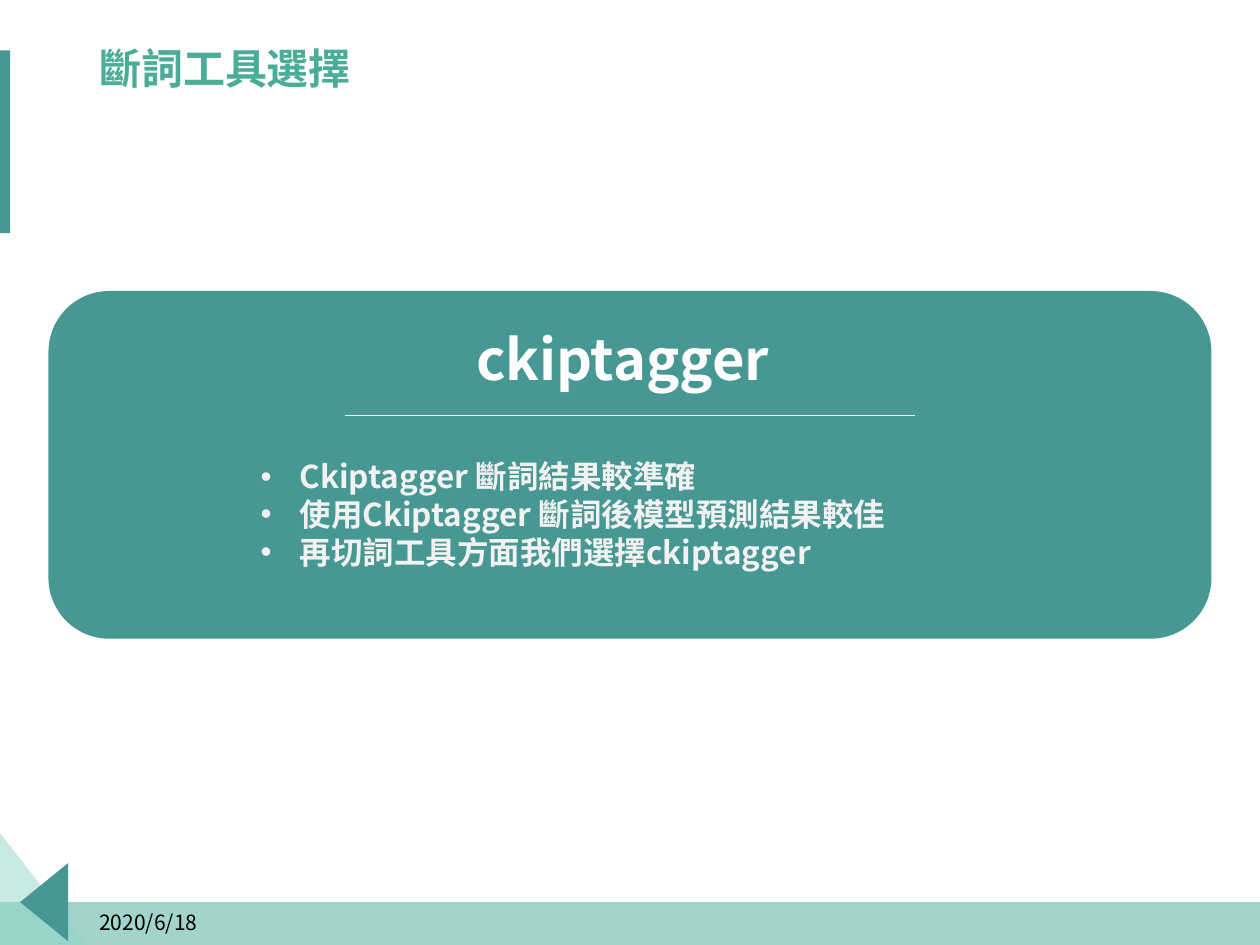
"""Builds the slide on the chosen word segmentation tool."""
from lxml import etree
from pptx import Presentation
from pptx.dml.color import RGBColor
from pptx.enum.shapes import MSO_CONNECTOR, MSO_SHAPE
from pptx.enum.text import MSO_ANCHOR, MSO_AUTO_SIZE, PP_ALIGN
from pptx.oxml.ns import qn
from pptx.util import Inches, Pt

TEAL = RGBColor(0x47, 0x97, 0x93)
GREEN = RGBColor(0x4A, 0xAC, 0x99)
MINT = RGBColor(0x92, 0xD4, 0xCB)
WHITE = RGBColor(0xFF, 0xFF, 0xFF)
PALE = RGBColor(0xF2, 0xF2, 0xF2)
BLACK = RGBColor(0, 0, 0)
RECT, ROUNDED = MSO_SHAPE.RECTANGLE, MSO_SHAPE.ROUNDED_RECTANGLE
STRAIGHT = MSO_CONNECTOR.STRAIGHT
TOP, MIDDLE = MSO_ANCHOR.TOP, MSO_ANCHOR.MIDDLE
LEFT, FIXED = PP_ALIGN.LEFT, MSO_AUTO_SIZE.NONE
HEAD_FONT, DATE_FONT = "Noto Sans CJK SC", "Noto Sans CJK TC"
COLUMNS, ROWS = 100, 75
REASONS = [
    "Ckiptagger 斷詞結果較準確",
    "使用Ckiptagger 斷詞後模型預測結果較佳",
    "再切詞工具方面我們選擇ckiptagger",
]


class Deck:
    """Holds the grid, the style and the current slide."""

    def __init__(self):
        self.prs = Presentation()
        self.prs.slide_width, self.prs.slide_height = Inches(10), Inches(7.5)
        self.slide = self.prs.slides.add_slide(self.prs.slide_layouts[5])
        self.shapes = self.slide.shapes

    def grid(self, *numbers):
        """Turns alternating columns and rows into lengths."""
        units = self.prs.slide_width / COLUMNS, self.prs.slide_height / ROWS
        return [round(number * units[i % 2]) for i, number in enumerate(numbers)]

    def paint(self, shape, color, opacity=100):
        """Gives a shape a plain fill without line or shadow."""
        shape.shadow.inherit = False
        shape.line.fill.background()
        shape.fill.solid()
        shape.fill.fore_color.rgb = color
        if opacity < 100:
            tint = shape._element.spPr.find(qn("a:solidFill"))[0]
            etree.SubElement(tint, qn("a:alpha"), val=str(opacity * 1000))

    def block(self, box, color, kind=RECT, opacity=100, rounding=None):
        """Adds a filled preset shape."""
        shape = self.shapes.add_shape(kind, *self.grid(*box))
        self.paint(shape, color, opacity)
        if rounding is not None:
            shape.adjustments[0] = rounding

    def triangle(self, corners, color, opacity=100):
        """Adds a filled triangle."""
        start, *others = [self.grid(*corner) for corner in corners]
        builder = self.shapes.build_freeform(*start, scale=1.0)
        builder.add_line_segments(others, close=True)
        self.paint(builder.convert_to_shape(), color, opacity)

    def rule(self, ends, color, width):
        """Adds a straight line."""
        line = self.shapes.add_connector(STRAIGHT, *self.grid(*ends))
        line.line.color.rgb, line.line.width = color, Pt(width)
        etree.SubElement(line._element.spPr, qn("a:effectLst"))

    def set_text(self, holder, lines, size, color, font=HEAD_FONT, bold=True,
                 anchor=TOP, spacing=None, bullet=False, tracking=None):
        """Fills a text holder with styled paragraphs."""
        frame = holder.text_frame
        frame.word_wrap, frame.auto_size = True, FIXED
        frame.vertical_anchor = anchor
        frame.text = "\n".join(lines)
        for paragraph in frame.paragraphs:
            paragraph.alignment = LEFT
            paragraph.line_spacing = spacing
            if bullet:
                props = paragraph._p.get_or_add_pPr()
                indent = Inches(0.31)
                props.set("marL", str(indent))
                props.set("indent", str(-indent))
                etree.SubElement(props, qn("a:buFont"), typeface="Arial")
                etree.SubElement(props, qn("a:buChar"), char="•")
            style = paragraph.font
            style.name, style.size, style.bold = font, Pt(size), bold
            style.color.rgb = color
            for run in paragraph.runs:
                run_props = run._r.get_or_add_rPr()
                for script in ("a:latin", "a:ea"):
                    etree.SubElement(run_props, qn(script), typeface=font)
                if tracking is not None:
                    run_props.set("spc", str(round(tracking * 100)))

    def title(self, box, text, size, color, **style):
        """Places and fills the title."""
        title = self.shapes.title
        title.left, title.top, title.width, title.height = self.grid(*box)
        self.set_text(title, [text], size, color, anchor=MIDDLE, **style)

    def text(self, box, lines, size, color, **style):
        """Adds a text box."""
        holder = self.shapes.add_textbox(*self.grid(*box))
        self.set_text(holder, lines, size, color, **style)


def main():
    deck = Deck()
    margin = 6.9
    deck.block((0, 71.6, COLUMNS, 3.4), GREEN, opacity=51)
    deck.triangle([(0, 66.1), (margin, ROWS), (0, ROWS)], MINT, opacity=50)
    deck.triangle([(5.4, 68.5), (5.4, 74.7), (1.6, 71.6)], TEAL)
    deck.block((0, 4, 0.8, 14.5), TEAL)
    deck.title((margin, 2.3, COLUMNS - 2 * margin, 6.6), "斷詞工具選擇", 24, GREEN,
               spacing=0.9, tracking=-0.1)
    deck.text((margin, 71.2, 22.5, 4), ["2020/6/18"], 12, BLACK,
              font=DATE_FONT, bold=False, anchor=MIDDLE)

    deck.block((3.85, 23.1, 92.3, 27.6), TEAL, kind=ROUNDED, rounding=0.175)
    deck.text((36.8, 25.3, 32.8, 6.4), ["ckiptagger"], 32, WHITE, spacing=Pt(38.4))
    deck.rule((27.4, 33, 72.6, 33), WHITE, 0.5)
    deck.text((19.7, 35.8, 74.2, 13.1), REASONS, 18, PALE,
              spacing=Pt(21.6), bullet=True)
    deck.prs.save("out.pptx")


if __name__ == "__main__":
    main()
